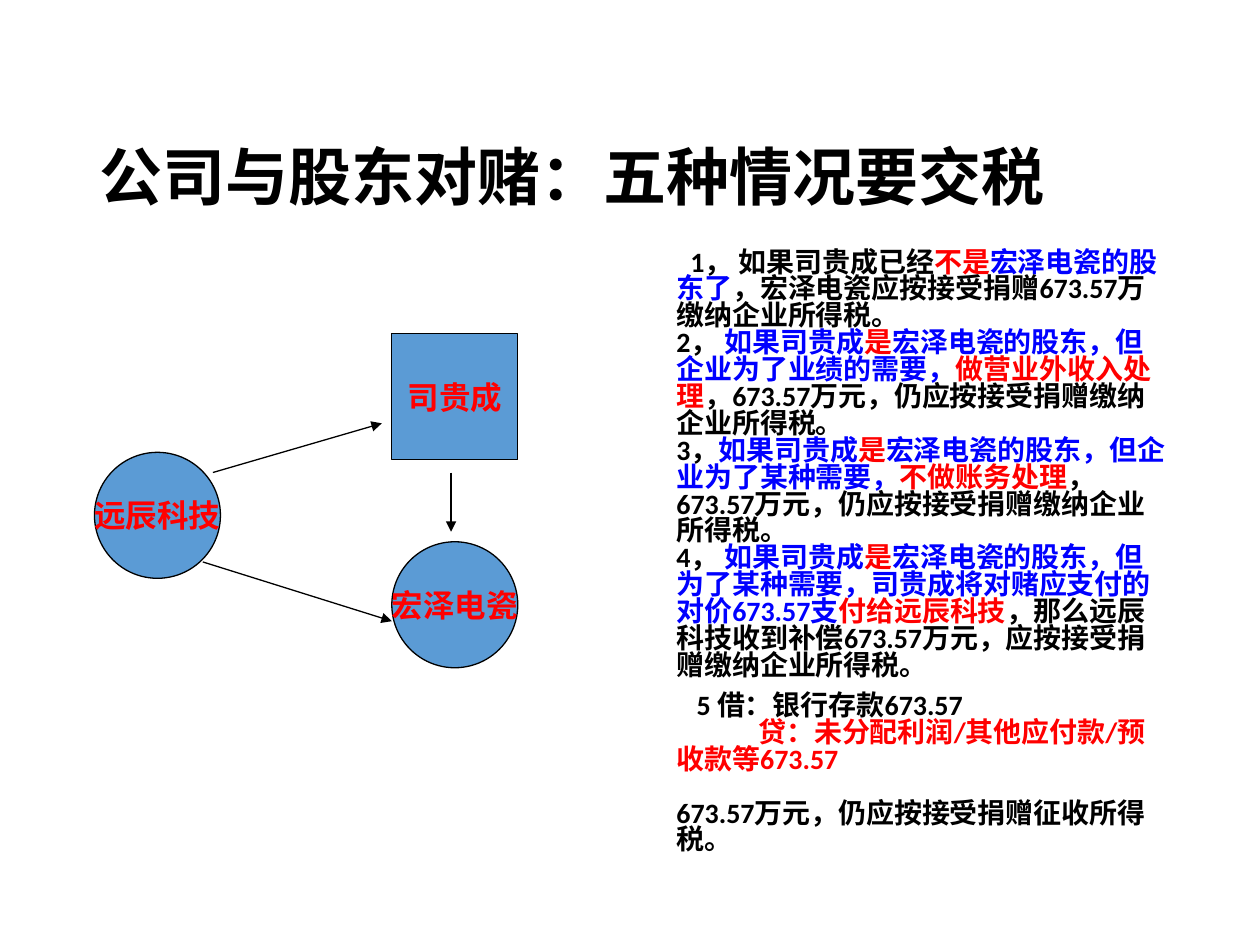
import pptx
import pptx.util
import pptx.dml.color
import pptx.enum.shapes
import pptx.enum.text
import pptx.oxml
import pptx.oxml.ns
from dataclasses import dataclass

SHAPE = pptx.enum.shapes.MSO_SHAPE
ANCHOR = pptx.enum.text.MSO_ANCHOR
ALIGN = pptx.enum.text.PP_ALIGN
Pt = pptx.util.Pt


@dataclass(frozen=True)
class Theme:
    black: str = "000000"
    red: str = "FF0000"
    blue: str = "0000FF"
    node: str = "5B9BD5"
    text_font: str = "Calibri"
    node_font: str = "DejaVu Sans"
    title_size: int = 36
    node_size: int = 18
    body_size: int = 16
    line_width: float = 0.75


class Deck:
    """Places elements on a grid of 10 columns by 7.5 rows."""
    COLS, ROWS = 10, 7.5

    def __init__(self, theme):
        self.theme = theme
        self.prs = prs = pptx.Presentation()
        prs.slide_width = pptx.util.Inches(10)
        prs.slide_height = pptx.util.Inches(7.5)
        self.s = prs.slides.add_slide(prs.slide_layouts[5])

    def place(self, *grid):
        """Turn alternating columns and rows into lengths."""
        units = (self.prs.slide_width / self.COLS, self.prs.slide_height / self.ROWS)
        return [int(n * units[i % 2]) for i, n in enumerate(grid)]

    @staticmethod
    def apply(obj, formats):
        for name, value in formats.items():
            setattr(obj, name, value)

    def run(self, p, text, size, color, font):
        r = p.add_run()
        r.text = text
        self.apply(r.font, {"size": Pt(size), "bold": True, "name": font})
        r.font.color.rgb = pptx.dml.color.RGBColor.from_string(color)

    def outline(self, sp):
        sp.line.width = Pt(self.theme.line_width)
        sp.line.color.rgb = pptx.dml.color.RGBColor.from_string(self.theme.black)

    def title(self, text, *grid):
        sp, t = self.s.shapes.title, self.theme
        self.apply(sp, dict(zip(("left", "top", "width", "height"), self.place(*grid))))
        self.apply(sp.text_frame, {"vertical_anchor": ANCHOR.BOTTOM, "word_wrap": True})
        p = sp.text_frame.paragraphs[0]
        self.apply(p, {"alignment": ALIGN.LEFT, "line_spacing": 0.9})
        self.run(p, text, t.title_size, t.black, t.text_font)

    def body(self, items, hang, *grid):
        """Each item is (first-line indent, space before, runs)."""
        t = self.theme
        tf = self.s.shapes.add_textbox(*self.place(*grid)).text_frame
        tf.word_wrap = True
        for i, (indent, before, runs) in enumerate(items):
            p = tf.add_paragraph() if i else tf.paragraphs[0]
            self.apply(p, {"line_spacing": 0.8, "space_before": Pt(before)})
            pPr = p._p.get_or_add_pPr()
            pPr.set("marL", str(self.place(hang)[0]))
            pPr.set("indent", str(self.place(indent)[0]))
            for text, color in runs:
                self.run(p, text, t.body_size, color, t.text_font)

    def node(self, kind, text, col, row):
        t = self.theme
        sp = self.s.shapes.add_shape(kind, *self.place(col, row, 1, 1))
        sp.shadow.inherit = False
        sp.fill.solid()
        sp.fill.fore_color.rgb = pptx.dml.color.RGBColor.from_string(t.node)
        self.outline(sp)
        self.apply(sp.text_frame, {"word_wrap": False, "vertical_anchor": ANCHOR.MIDDLE})
        p = sp.text_frame.paragraphs[0]
        p.alignment = ALIGN.CENTER
        self.run(p, text, t.node_size, t.red, t.node_font)

    def arrow(self, *grid):
        kind = pptx.enum.shapes.MSO_CONNECTOR.STRAIGHT
        sp = self.s.shapes.add_connector(kind, *self.place(*grid))
        self.outline(sp)
        tail = pptx.oxml.parse_xml(
            f'<a:tailEnd {pptx.oxml.ns.nsdecls("a")} type="triangle"/>')
        sp.line._get_or_add_ln().append(tail)
        effects = pptx.oxml.parse_xml(f'<a:effectLst {pptx.oxml.ns.nsdecls("a")}/>')
        sp._element.spPr.append(effects)


def main():
    theme = Theme()
    deck = Deck(theme)
    black, red, blue = theme.black, theme.red, theme.blue
    investor, holder, target = "远辰科技", "司贵成", "宏泽电瓷"

    deck.title("公司与股东对赌：五种情况要交税", 0.69, 0.73, 8.62, 1.02)

    # Five tax cases
    is_holder = [(f"如果{holder}成"[:5], blue), ("是", red)]
    taxed = "673.57万元，仍应按接受捐赠缴纳企业所得税。"
    cases = [
        (0.11, 7.5, [(f"1， 如果{holder}已经", black), ("不是", red),
                     (f"{target}的股东了", blue),
                     (f"，{target}应按接受捐赠673.57万缴纳企业所得税。", black)]),
        (0, 0, [("2， ", black), *is_holder,
                (f"{target}的股东，但企业为了业绩的需要，", blue),
                ("做营业外收入处理", red), (f"，{taxed}", black)]),
        (0, 0, [("3，", black), *is_holder,
                (f"{target}的股东，但企业为了某种需要，", blue),
                ("不做账务处理", red), (f"，{taxed}", black)]),
        (0, 0, [("4， ", black), *is_holder,
                (f"{target}的股东，但为了某种需要，{holder}将对赌应支付的对价673.57支", blue),
                (f"付给{investor}", red),
                (f"，那么{investor[:2]}科技收到补偿673.57万元，应按接受捐赠缴纳企业所得税。", black)]),
        (0.16, 7.5, [("5 借：银行存款673.57", black)]),
        (0.65, 0, [("贷：未分配利润/其他应付款/预收款等673.57", red)]),
        (0, 15.4, [("673.57万元，仍应按接受捐赠征收所得税。", black)]),
    ]
    deck.body(cases, 0.19, 5.08, 1.94, 4.29, 4.67)

    # Parties
    deck.node(SHAPE.OVAL, investor, 0.75, 3.59)
    deck.node(SHAPE.RECTANGLE, holder, 3.11, 2.65)
    deck.node(SHAPE.OVAL, target, 3.11, 4.3)

    # Relations between the parties
    for ends in ((1.69, 3.75, 3.03, 3.36), (1.61, 4.46, 3.11, 4.93), (3.58, 3.75, 3.58, 4.22)):
        deck.arrow(*ends)

    deck.prs.save("out.pptx")


if __name__ == "__main__":
    main()
